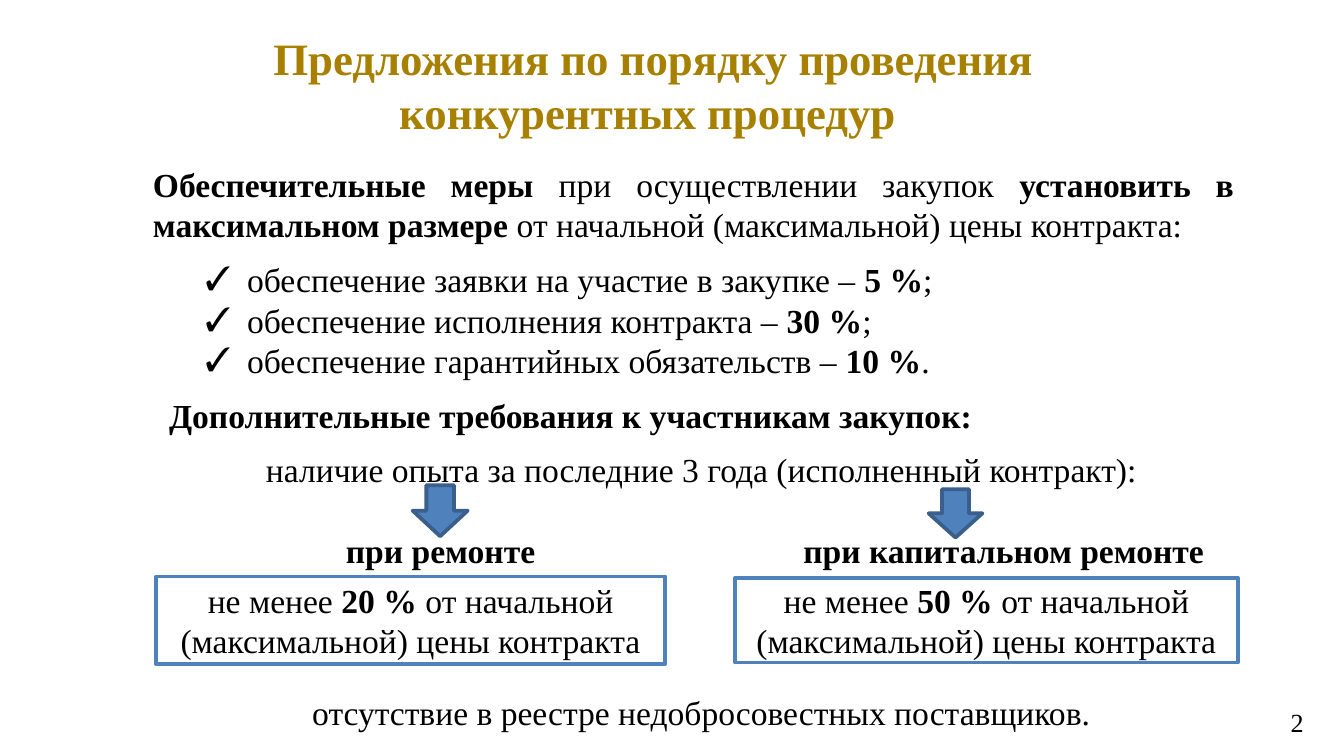
from lxml import etree
from pptx import Presentation
from pptx import util as u
from pptx.dml.color import RGBColor
from pptx.enum import shapes, text
from pptx.oxml.ns import qn

GOLD = RGBColor(0xA8, 0x80, 0x00)
BLACK = RGBColor(0, 0, 0)
WHITE = RGBColor(0xFF, 0xFF, 0xFF)
BLUE = RGBColor(0x4F, 0x81, 0xBD)
DARK_BLUE = RGBColor(0x3A, 0x5F, 0x8C)
LEFT, CENTER = text.PP_ALIGN.LEFT, text.PP_ALIGN.CENTER
RIGHT, JUSTIFY = text.PP_ALIGN.RIGHT, text.PP_ALIGN.JUSTIFY
MIDDLE, TOP = text.MSO_ANCHOR.MIDDLE, text.MSO_ANCHOR.TOP


class SlideWriter:
    """Adds styled text, check lists, arrows and framed boxes to one slide."""

    font = "Times New Roman"
    line_height = 21.8

    def __init__(self, slide):
        self.slide = slide

    def fill_paragraph(self, paragraph, line, align, size=18, color=BLACK):
        paragraph.alignment = align
        font = paragraph.font
        font.name, font.size, font.color.rgb = self.font, u.Pt(size), color
        weights = {bold for _, bold in line}
        if len(weights) == 1:
            font.bold = weights.pop()
        for words, bold in line:
            run = paragraph.add_run()
            run.text = words
            if font.bold is None:
                run.font.bold = bold

    def text(self, area, lines, align=LEFT, anchor=TOP, inset=(0.1, 0.05), check=False, **style):
        frame = self.slide.shapes.add_textbox(*map(u.Inches, area)).text_frame
        frame.word_wrap = True
        frame.vertical_anchor = anchor
        frame.margin_left = frame.margin_right = u.Inches(inset[0])
        frame.margin_top = frame.margin_bottom = u.Inches(inset[1])
        for i, line in enumerate(lines):
            paragraph = frame.paragraphs[0] if i == 0 else frame.add_paragraph()
            if check:
                self.add_check(paragraph)
            self.fill_paragraph(paragraph, line, align, **style)
        return frame

    def add_check(self, paragraph):
        props = paragraph._p.get_or_add_pPr()
        props.set("marL", str(u.Inches(0.31)))
        props.set("indent", str(u.Inches(-0.31)))
        etree.SubElement(props, qn("a:buFont")).set("typeface", self.font)
        etree.SubElement(props, qn("a:buChar")).set("char", "✓")

    def add_line(self, frame, line, align, skipped, centers=()):
        paragraph = frame.add_paragraph()
        if centers:
            stops = etree.SubElement(paragraph._p.get_or_add_pPr(), qn("a:tabLst"))
            for center in centers:
                stop = etree.SubElement(stops, qn("a:tab"))
                stop.set("pos", str(u.Inches(center)))
                stop.set("algn", "ctr")
        self.fill_paragraph(paragraph, line, align)
        paragraph.space_before = u.Pt(skipped * self.line_height)

    def shape(self, kind, area, fill, line):
        item = self.slide.shapes.add_shape(kind, *map(u.Inches, area))
        item.shadow.inherit = False
        item.fill.solid()
        item.fill.fore_color.rgb = fill
        item.line.color.rgb = line
        item.line.width = u.Pt(2)
        return item

    def arrow(self, area):
        self.shape(shapes.MSO_SHAPE.DOWN_ARROW, area, BLUE, DARK_BLUE)

    def framed(self, area, line):
        frame = self.shape(shapes.MSO_SHAPE.RECTANGLE, area, WHITE, BLUE).text_frame
        frame.word_wrap = True
        frame.vertical_anchor = MIDDLE
        self.fill_paragraph(frame.paragraphs[0], line, CENTER)


def main():
    deck = Presentation()
    deck.slide_width, deck.slide_height = u.Inches(10), u.Inches(10) * 9 // 16
    writer = SlideWriter(deck.slides.add_slide(deck.slide_layouts[6]))

    title = ["Предложения по порядку проведения ", "конкурентных процедур  "]
    writer.text((1.22, 0.19, 7.36, 0.81), [[(line, True)] for line in title],
                CENTER, inset=(0.07, 0.04), size=24, color=GOLD)
    writer.text((9.23, 5.2, 0.54, 0.34), [[("2", False)]], RIGHT,
                anchor=MIDDLE, inset=(0.07, 0.04), size=14)

    measures = [
        ("Обеспечительные меры ", True),
        ("при осуществлении закупок ", False),
        ("установить в максимальном размере", True),
        (" от начальной (максимальной) цены контракта:", False),
    ]
    writer.text((1.04, 1.17, 8.24, 0.71), [measures], JUSTIFY)

    securities = [
        ("обеспечение заявки на участие в закупке – ", "5 %", ";"),
        ("обеспечение исполнения контракта – ", "30 %", ";"),
        ("обеспечение гарантийных обязательств – ", "10 %", "."),
    ]
    writer.text((1.43, 1.88, 6.05, 1.01),
                [[(name, False), (share, True), (end, False)] for name, share, end in securities],
                check=True)

    writer.text((1.16, 2.89, 7.67, 0.4),
                [[("Дополнительные требования к участникам закупок:", True)]])
    experience = "наличие опыта за последние 3 года (исполненный контракт):"
    requirements = writer.text((1.16, 3.29, 8.12, 2.22), [[(experience, False)]], CENTER)
    writer.add_line(requirements, [("\tпри ремонте\tпри капитальном ремонте", True)],
                    LEFT, skipped=1, centers=(2.02, 6.21))
    writer.add_line(requirements, [("отсутствие в реестре недобросовестных поставщиков.", False)],
                    CENTER, skipped=3)

    repairs = [
        ("20 % ", (3.07, 3.61, 0.41, 0.38), (1.16, 4.29, 3.79, 0.65)),
        ("50 % ", (6.91, 3.64, 0.4, 0.36), (5.47, 4.3, 3.74, 0.63)),
    ]
    for share, arrow_area, frame_area in repairs:
        writer.arrow(arrow_area)
        writer.framed(frame_area, [("не менее ", False), (share, True),
                                   ("от начальной (максимальной) цены контракта", False)])

    deck.save("out.pptx")


if __name__ == "__main__":
    main()
